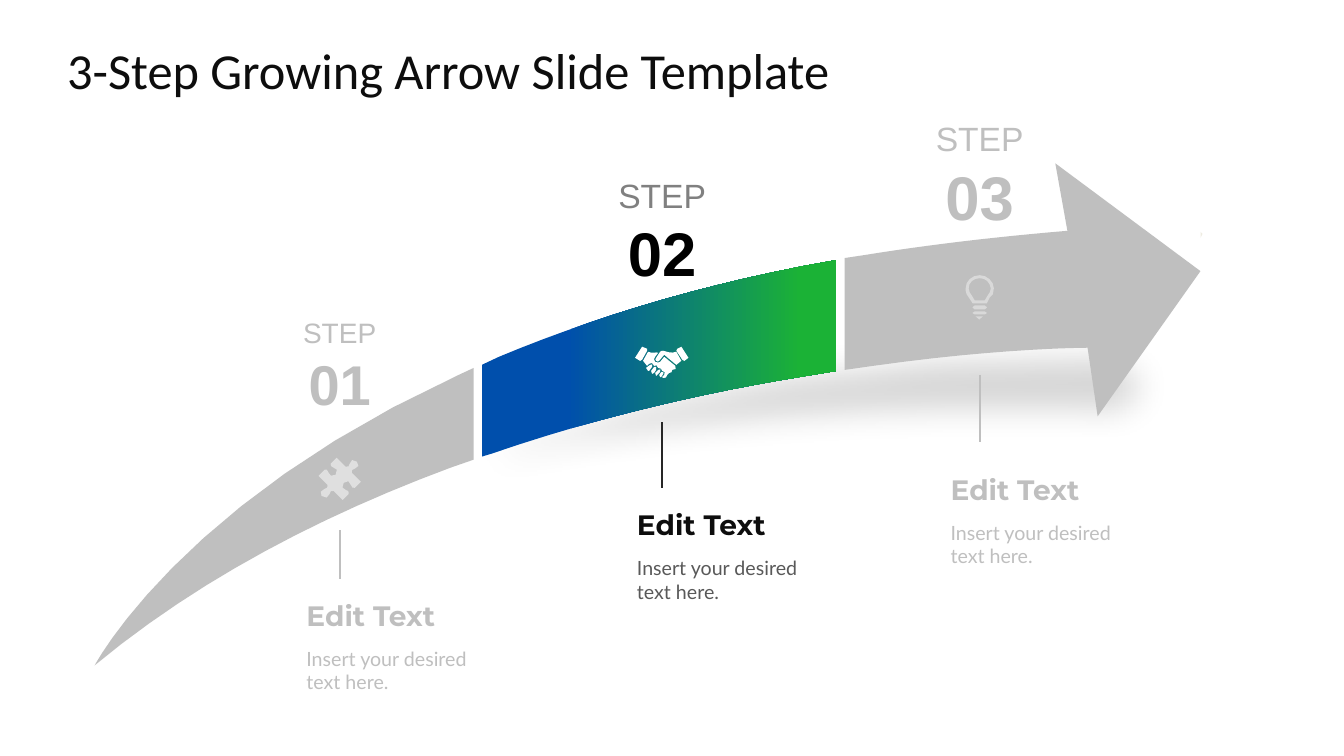
"""Build a slide with a growing arrow in three steps, the second one highlighted."""
from lxml.etree import SubElement
from pptx import Presentation
from pptx.dml.color import RGBColor
from pptx.enum.shapes import MSO_CONNECTOR
from pptx.enum.text import MSO_ANCHOR as ANCHOR, MSO_AUTO_SIZE as AUTO, PP_ALIGN as ALIGN
from pptx.oxml.ns import qn
from pptx.util import Pt

BLACK = RGBColor(0x00, 0x00, 0x00)
INK = RGBColor(0x0D, 0x0D, 0x0D)
LINE_DARK = RGBColor(0x26, 0x26, 0x26)
BODY_GRAY = RGBColor(0x59, 0x59, 0x59)
STEP_GRAY = RGBColor(0x80, 0x80, 0x80)
MUTED = RGBColor(0xBF, 0xBF, 0xBF)
BULB_GRAY = RGBColor(0xD9, 0xD9, 0xD9)
CREAM = RGBColor(0xEE, 0xEC, 0xE1)
WHITE = RGBColor(0xFF, 0xFF, 0xFF)
BLUE = RGBColor(0x00, 0x4F, 0xAC)
GREEN = RGBColor(0x1B, 0xB2, 0x36)

TITLE = "3-Step Growing Arrow Slide Template"
HEADING = "Edit Text"
BODY = "Insert your desired text here."

QUIET = dict(step=MUTED, number=MUTED, line=MUTED, heading=MUTED, body=MUTED)
ACTIVE = dict(step=STEP_GRAY, number=BLACK, line=LINE_DARK, heading=INK, body=BODY_GRAY)
STEPS = [
    dict(number="01", sizes=(20, 40), center=242.6, label_top=225.4,
         line=(378.7, 413.3), left=218.9, heading_top=423.4, colors=QUIET),
    dict(number="02", sizes=(24, 44), center=473, label_top=129.6,
         line=(301.7, 348.5), left=455, heading_top=358.6, colors=ACTIVE),
    dict(number="03", sizes=(24, 44), center=699.8, label_top=89.3,
         line=(267.8, 315.4), left=679, heading_top=333.4, colors=QUIET),
]
LABEL_W, LABEL_H = 99.4, 72
TEXT_W, HEADING_H, BODY_H, BODY_GAP = 132.5, 31.7, 41, 35

GRID = 0.72
SHADOW = ("M 75 674 C 75 674 330 309 1072 322 C 1072 302 1066 283 1067 263 "
          "L 1202 377 L 1087 510 L 1083 441 C 1083 441 415 403 75 674")
ARROW_HEAD = ("M 1047 162 L 1191 269 L 1089 413 L 1079 345 C 1079 345 993 345 866 363 "
              "L 838 367 L 838 256 L 858 253 C 920 243 987 235 1059 229")
ARROW_MIDDLE = ("M 830 258 L 830 368 L 799 373 C 706 388 598 412 488 450 L 478 453 "
                "L 478 362 L 495 354 C 579 319 679 287 797 264")
ARROW_TAIL = ("M 470 365 L 470 456 L 447 464 C 323 510 199 573 94 660 "
              "C 94 660 179 498 455 372")
SPECK = "M 1191 230 L 1193 232 L 1191 236"
PUZZLE = ("M 343 486 C 340 486 338 482 341 479 C 344 476 348 477 348 481 "
          "C 348 483 351 485 352 484 L 358 478 L 349 469 C 348 467 350 465 352 465 "
          "C 356 465 357 460 354 458 C 351 455 347 456 347 460 "
          "C 347 462 345 464 343 463 L 334 454 L 328 460 C 327 461 329 464 331 464 "
          "C 334 463 336 468 333 471 C 330 473 326 472 326 469 C 326 467 323 464 322 466 "
          "L 316 472 L 325 481 C 326 483 324 485 322 485 C 318 485 317 490 319 492 "
          "C 322 495 327 494 327 490 C 327 488 329 486 331 487 L 340 496 "
          "L 346 490 C 347 488 345 486 343 486")
HANDSHAKE = [
    "M 655 374 L 654 372 L 656 369 C 657 368 660 370 658 371 L 656 374",
    "M 651 373 L 650 370 L 653 367 C 654 365 657 367 655 369 L 652 372",
    "M 647 371 L 646 368 L 649 364 C 650 362 653 365 651 367 L 649 370",
    "M 643 368 L 641 365 L 645 362 C 646 360 649 362 647 364 L 644 368",
    "M 630 355 L 635 358 L 637 357 L 642 348 L 642 346 L 637 344",
    "M 670 363 L 659 354 L 655 359 C 654 360 652 360 650 359 "
    "C 649 358 648 355 650 354 L 653 350 C 651 349 647 351 643 349 L 638 358 L 642 363 "
    "L 644 361 C 645 360 649 359 649 363 C 650 361 653 363 653 365 C 655 365 657 366 657 368 "
    "C 659 368 661 370 659 372 L 657 374 L 658 375 C 660 376 662 374 662 372 "
    "L 664 370 C 666 370 667 369 667 367 C 670 368 672 365 670 363",
    "M 683 355 L 679 358 L 677 357 L 671 348 L 672 346 L 676 344",
    "M 671 349 C 666 351 662 349 658 348 C 657 348 656 348 655 349 L 651 355 "
    "C 650 356 650 357 651 358 C 652 359 653 359 654 358 L 659 352 L 671 362 "
    "L 676 358",
]
BULB = [
    "M 967 303 L 977 303 C 980 303 980 307 977 307 L 967 307 C 964 307 964 303 967 303",
    "M 967 309 L 977 309 C 980 309 980 312 977 312 L 967 312 C 964 312 964 309 967 309",
    "M 968 314 C 969 318 974 318 975 314",
    "M 972 273 C 964 273 958 279 958 286 C 958 288 958 290 959 292 "
    "L 961 295 L 965 301 L 979 301 L 982 295 L 985 292 C 985 290 986 288 986 286 "
    "C 986 279 979 273 972 273 "
    "M 983 286 L 982 290 L 980 293 L 977 298 L 967 298 L 964 293 L 962 290 L 961 286 "
    "C 961 280 966 276 972 276 C 978 276 982 280 983 286",
]


def bezier(p0, p1, p2, p3):
    """Return points along a cubic curve, without its start; short curves get few."""
    span = max(abs(p3[0] - p0[0]), abs(p3[1] - p0[1]))
    count = 12 if span > Pt(60) else 4 if span > Pt(6) else 2
    points = []
    for i in range(1, count + 1):
        t = i / count
        u = 1 - t
        points.append(tuple(u**3 * a + 3 * u * u * t * b + 3 * u * t * t * c + t**3 * d
                            for a, b, c, d in zip(p0, p1, p2, p3)))
    return points


def contours(outline):
    """Turn an outline on the drawing grid into closed lists of points."""
    tokens = iter(outline.split())
    result = []
    for command in tokens:
        count = 3 if command == "C" else 1
        pts = [tuple(Pt(GRID * int(next(tokens))) for _ in "xy") for _ in range(count)]
        if command == "M":
            result.append(pts)
        elif command == "L":
            result[-1] += pts
        else:
            result[-1] += bezier(result[-1][-1], *pts)
    return result


def add_outline(s, outline, color=None, alpha=None):
    """Draw an outline without a border; return its shape."""
    first, *others = contours(outline)
    fb = s.shapes.build_freeform(*first[0])
    fb.add_line_segments(first[1:], close=True)
    for points in others:
        fb.move_to(*points[0])
        fb.add_line_segments(points[1:], close=True)
    sp = fb.convert_to_shape()
    sp.shadow.inherit = False
    sp.line.fill.background()
    if color is not None:
        sp.fill.solid()
        sp.fill.fore_color.rgb = color
    if alpha:
        rgb = sp.element.spPr.find(".//" + qn("a:srgbClr"))
        SubElement(rgb, qn("a:alpha"), val=str(alpha * 1000))
    return sp


def style(p, font, size, color, bold=False, align=ALIGN.LEFT):
    """Format a paragraph and its runs."""
    p.alignment = align
    for r in p.runs:
        r.font.name, r.font.size, r.font.bold = font, Pt(size), bold
        r.font.color.rgb = color


def add_text(s, box, text, anchor, inset=0):
    """Add a wrapping text box; return its text frame."""
    tf = s.shapes.add_textbox(*map(Pt, box)).text_frame
    tf.word_wrap = True
    tf.vertical_anchor = anchor
    tf.margin_left = tf.margin_right = 0
    tf.margin_top = tf.margin_bottom = Pt(inset)
    tf.text = text
    return tf


def add_step(s, step):
    """Add the label, the line and the texts of one step."""
    colors, center, left = step["colors"], step["center"], step["left"]
    box = (center - LABEL_W / 2, step["label_top"], LABEL_W, LABEL_H)
    tf = add_text(s, box, "STEP\n" + step["number"], ANCHOR.MIDDLE)
    for p, size, part in zip(tf.paragraphs, step["sizes"], ("step", "number")):
        style(p, "Arial", size, colors[part], part == "number", ALIGN.CENTER)

    top, bottom = step["line"]
    line = s.shapes.add_connector(MSO_CONNECTOR.STRAIGHT, *map(Pt, (center, top, center, bottom)))
    line.line.color.rgb = colors["line"]
    line.line.width = Pt(1.5)
    SubElement(line.element.spPr, qn("a:effectLst"))

    y = step["heading_top"]
    for text, box, anchor, font, size, part in (
            (HEADING, (left, y, TEXT_W, HEADING_H), ANCHOR.BOTTOM, "Montserrat", 20, "heading"),
            (BODY, (left, y + BODY_GAP, TEXT_W, BODY_H), ANCHOR.TOP, "Lato", 14, "body")):
        tf = add_text(s, box, text, anchor, 3.6)
        tf.auto_size = AUTO.SHAPE_TO_FIT_TEXT
        style(tf.paragraphs[0], font, size, colors[part], part == "heading")


def main():
    """Build and save the slide."""
    prs = Presentation()
    prs.slide_width, prs.slide_height = Pt(960), Pt(540)
    s = prs.slides.add_slide(prs.slide_layouts[5])

    title = s.shapes.title
    title.left, title.top, title.width, title.height = map(Pt, (48, 21.6, 864, 56.2))
    tf = title.text_frame
    tf.text = TITLE
    tf.vertical_anchor = ANCHOR.MIDDLE
    tf.margin_left = tf.margin_right = tf.margin_top = tf.margin_bottom = 0
    style(tf.paragraphs[0], "Calibri", 36, INK)

    shadow = add_outline(s, SHADOW, BLACK, 17)
    effects = shadow.element.spPr.find(qn("a:effectLst"))
    SubElement(effects, qn("a:softEdge"), rad=str(Pt(25)))

    add_outline(s, ARROW_HEAD, MUTED)
    add_outline(s, ARROW_TAIL, MUTED)
    fill = add_outline(s, ARROW_MIDDLE).fill
    fill.gradient()
    fill.gradient_angle = 0
    for stop, position, color in zip(fill.gradient_stops, (0.24, 0.9), (BLUE, GREEN)):
        stop.position = position
        stop.color.rgb = color

    add_outline(s, SPECK, CREAM)
    add_outline(s, PUZZLE, WHITE, 50)
    for icon, color in ((HANDSHAKE, WHITE), (BULB, BULB_GRAY)):
        for outline in icon:
            add_outline(s, outline, color)
    for step in STEPS:
        add_step(s, step)
    prs.save("out.pptx")


if __name__ == "__main__":
    main()
